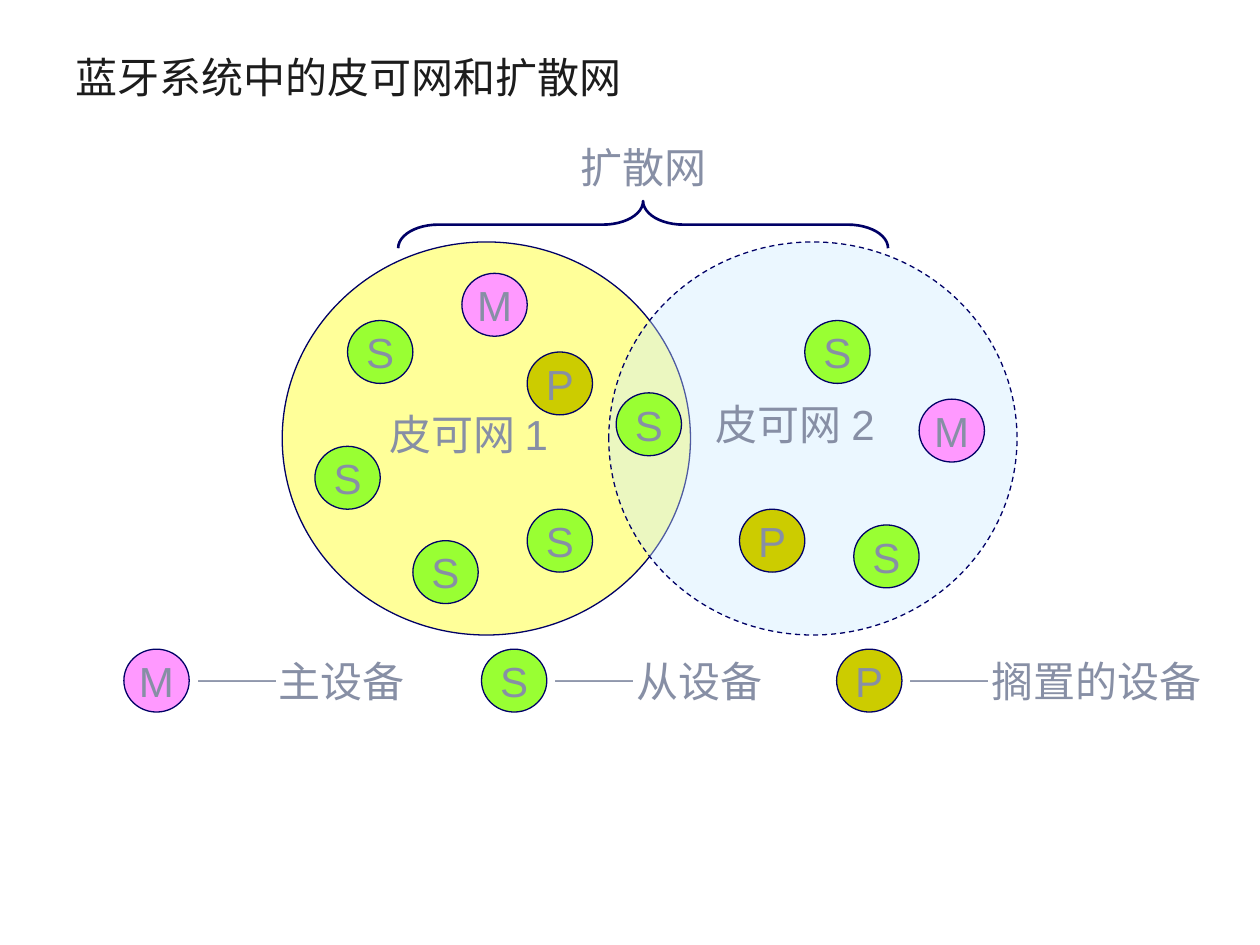
from lxml.etree import SubElement
from pptx import Presentation
from pptx.dml.color import RGBColor
from pptx.enum.dml import MSO_LINE
from pptx.enum.shapes import MSO_SHAPE
from pptx.enum.text import MSO_ANCHOR, MSO_AUTO_SIZE, PP_ALIGN
from pptx.oxml.ns import qn
from pptx.util import Inches, Pt

# Content: positions are (column, row) on a 25 x 25 grid laid over piconet 1
TITLE = "蓝牙系统中的皮可网和扩散网"
PICONETS = [  # column, fill, opacity in percent, line dash
    (0, "piconet1", 100, MSO_LINE.SOLID),
    (20, "piconet2", 39, MSO_LINE.DASH),
]
NODES = {
    "M": [(11, 2), (39, 10)],
    "S": [(2, 13), (4, 5), (20.45, 9.6), (15, 17), (8, 19), (35, 18), (32, 5)],
    "P": [(28, 17), (15, 7)],
}
LABELS = [  # text, column, row, width in columns
    ("皮可网 2", 25.8, 9.55, 12.4),
    ("扩散网", 17.5, -6.8, 9.8),
    ("皮可网 1", 5.8, 10.2, 12.4),
]
LEGEND = [  # kind, text, column, width in columns
    ("M", "主设备", -9.7, 15),
    ("S", "从设备", 12.2, 15),
    ("P", "搁置的设备", 33.95, 20.5),
]
LEGEND_ROW, LEGEND_GAP = 25.9, 3.6

# Theme
THEME = {
    "title": "1C1C1C", "text": "878FA5", "line": "000066",
    "piconet1": "FFFF99", "piconet2": "CCECFF",
    "M": "FF99FF", "S": "99FF33", "P": "CCCC00",
    "size": 24, "latin": "Arial", "legend": "Lato", "cjk": "Noto Sans CJK SC",
    "thin": 0.75, "thick": 1.5,
}

# Grid
SPAN, NODE = 25, 4
LEFT, TOP = 2.24, 1.92
COL, ROW = 3.24 / SPAN, 3.12 / SPAN


def box(col, row, cols, rows):
    return [Inches(v) for v in (LEFT + col * COL, TOP + row * ROW, cols * COL, rows * ROW)]


def color(name):
    return RGBColor.from_string(THEME[name])


def add_run(p, text, font="latin", ink="text"):
    r = p.add_run()
    r.text = text
    for key, value in {"name": THEME[font], "size": Pt(THEME["size"]), "bold": False}.items():
        setattr(r.font, key, value)
    r.font.color.rgb = color(ink)
    SubElement(r.font._element, qn("a:ea"), typeface=THEME["cjk"])


def add_outline(s, kind, place, fill=None, width="thin"):
    sp = s.shapes.add_shape(kind, *place)
    sp.shadow.inherit = False
    if fill:
        sp.fill.solid()
        sp.fill.fore_color.rgb = color(fill)
    else:
        sp.fill.background()
    sp.line.color.rgb = color("line")
    sp.line.width = Pt(THEME[width])
    return sp


def add_node(s, kind, col, row):
    sp = add_outline(s, MSO_SHAPE.OVAL, box(col, row, NODE, NODE), kind)
    tf = sp.text_frame
    tf.word_wrap = False
    tf.vertical_anchor = MSO_ANCHOR.MIDDLE
    tf.paragraphs[0].alignment = PP_ALIGN.CENTER
    add_run(tf.paragraphs[0], kind)


def add_label(s, runs, col, row, cols):
    tf = s.shapes.add_textbox(*box(col, row, cols, NODE)).text_frame
    tf.word_wrap = True
    tf.auto_size = MSO_AUTO_SIZE.NONE
    for text, font in runs:
        add_run(tf.paragraphs[0], text, font)


def main():
    prs = Presentation()
    prs.slide_width, prs.slide_height = Inches(10), Inches(7.5)
    s = prs.slides.add_slide(prs.slide_layouts[5])

    # Title
    title = s.shapes.title
    for key, value in {"left": 0.5, "top": 0.3, "width": 9, "height": 0.61}.items():
        setattr(title, key, Inches(value))
    tf = title.text_frame
    tf.vertical_anchor = MSO_ANCHOR.MIDDLE
    tf.paragraphs[0].alignment = PP_ALIGN.LEFT
    add_run(tf.paragraphs[0], TITLE, "cjk", "title")

    # Overlapping piconets
    for col, fill, opacity, dash in PICONETS:
        sp = add_outline(s, MSO_SHAPE.OVAL, box(col, 0, SPAN, SPAN), fill)
        sp.line.dash_style = dash
        if opacity < 100:
            clr = sp.fill._xPr.find(qn("a:solidFill"))[0]
            SubElement(clr, qn("a:alpha"), val=str(opacity * 1000))

    # Devices
    for kind, places in NODES.items():
        for col, row in places:
            add_node(s, kind, col, row)

    # Scatternet brace: a left brace turned so that it points up
    x, y, length, depth = box(7.1, -2.6, 30, 3)
    place = (x + (length - depth) // 2, y + (depth - length) // 2, depth, length)
    brace = add_outline(s, MSO_SHAPE.LEFT_BRACE, place, width="thick")
    brace.rotation = 90
    brace.adjustments[0] = 0.85

    # Labels and legend
    for text, col, row, cols in LABELS:
        add_label(s, [(text, "latin")], col, row, cols)
    for kind, text, col, cols in LEGEND:
        add_node(s, kind, col, LEGEND_ROW)
        add_label(s, [("——", "latin"), (text, "legend")], col + LEGEND_GAP, LEGEND_ROW, cols)

    prs.save("out.pptx")


if __name__ == "__main__":
    main()
